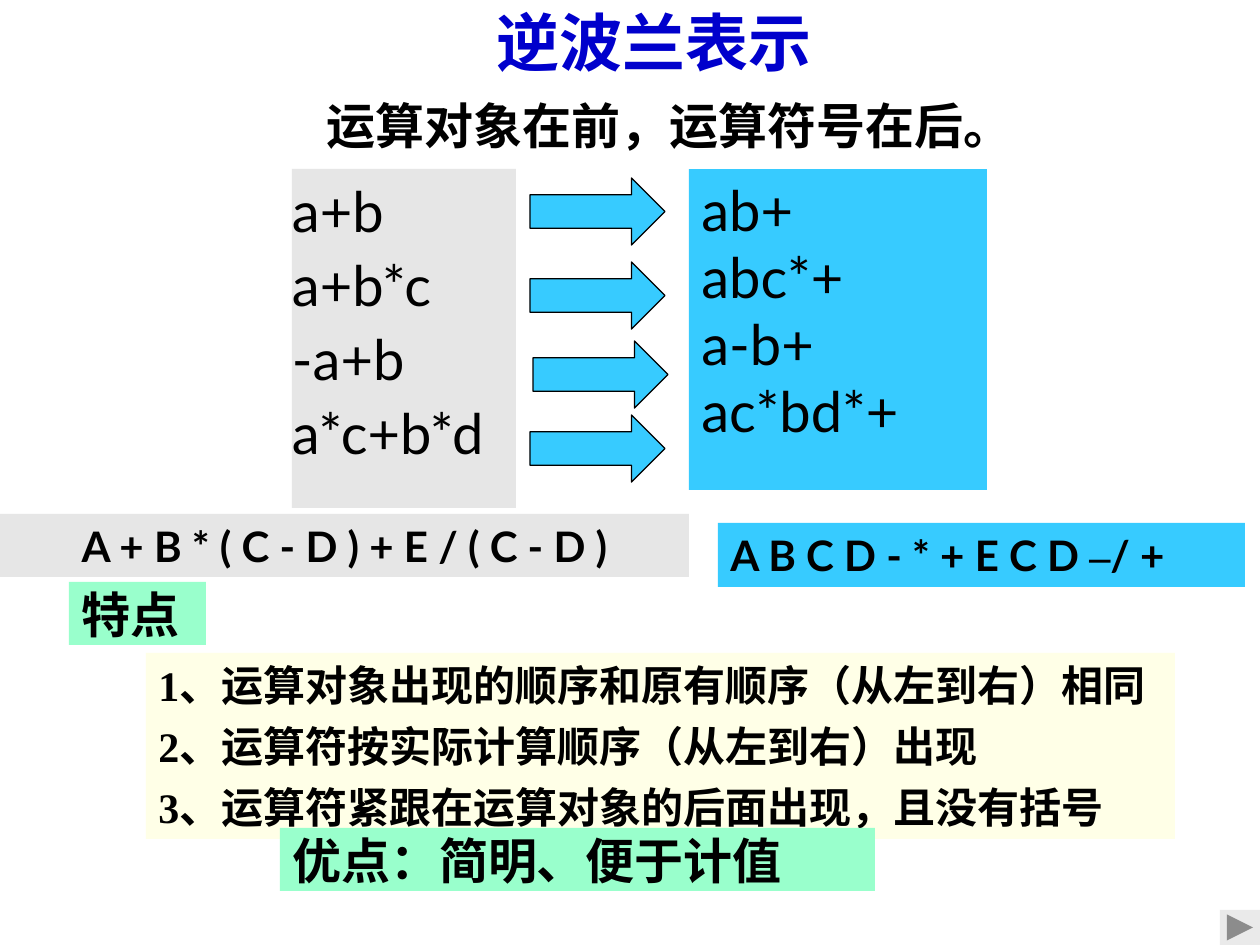
import pptx
import pptx.util
import pptx.dml.color
import pptx.enum.shapes
import pptx.enum.text
from dataclasses import dataclass

SHAPE = pptx.enum.shapes.MSO_SHAPE
ANCHOR = pptx.enum.text.MSO_ANCHOR
ALIGN = pptx.enum.text.PP_ALIGN


@dataclass(frozen=True)
class Theme:
    title: str = "0000CC"
    ink: str = "000000"
    sky: str = "37CBFF"
    grey: str = "E6E6E6"
    mint: str = "99FFCC"
    cream: str = "FFFFE7"
    button: str = "EAEAEA"
    sans: str = "Lato"
    serif: str = "Times New Roman"
    title_pt: int = 36
    formula_pt: int = 32
    heading_pt: int = 28
    body_pt: int = 24


T = Theme()


def px(n):
    return round(n * 914400 / 126)


def rgb(value):
    return pptx.dml.color.RGBColor.from_string(value)


def add_box(s, box, fill=None, kind=SHAPE.RECTANGLE, line=None):
    sp = s.shapes.add_shape(kind, *map(px, box))
    sp.shadow.inherit = False
    if fill:
        sp.fill.solid()
        sp.fill.fore_color.rgb = rgb(fill)
    else:
        sp.fill.background()
    if line:
        sp.line.color.rgb = rgb(line)
        sp.line.width = pptx.util.Pt(0.75)
    else:
        sp.line.fill.background()
    return sp


def add_text(s, box, lines, size, font=T.sans, fill=None, color=T.ink, bold=True,
             frame=None, para=None):
    """Each line is a string, or a list of (text, font) runs."""
    tf = add_box(s, box, fill).text_frame
    for name, value in {"word_wrap": True, "vertical_anchor": ANCHOR.TOP, **(frame or {})}.items():
        setattr(tf, name, value)
    for i, line in enumerate(lines):
        p = tf.add_paragraph() if i else tf.paragraphs[0]
        for name, value in {"alignment": ALIGN.LEFT, **(para or {})}.items():
            setattr(p, name, value)
        for text, face in [(line, font)] if isinstance(line, str) else line:
            r = p.add_run()
            r.text = text
            values = {"name": face, "size": pptx.util.Pt(size), "bold": bold}
            for name, value in values.items():
                setattr(r.font, name, value)
            r.font.color.rgb = rgb(color)


def add_header(s, box):
    x, y, w, h = box
    centred = {"alignment": ALIGN.CENTER}
    # Title
    add_text(s, (x + 131, y, 651, 73), ["逆波兰表示"], T.title_pt, color=T.title,
             frame={"vertical_anchor": ANCHOR.MIDDLE}, para=centred)
    # Rule under the title
    add_text(s, (x, y + h - 72, w, 72), ["运算对象在前，运算符号在后。"], T.heading_pt,
             para=centred)


def add_conversions(s, box):
    x, y, w, h = box
    # Infix on the left
    insets = {"margin_left": 0, "margin_right": px(5), "margin_top": px(1), "margin_bottom": px(1)}
    add_text(s, (x, y, 224, h), ["a+b", "a+b*c", "-a+b", "a*c+b*d"], T.formula_pt,
             fill=T.grey, bold=False, frame=insets, para={"line_spacing": 1.1})
    # Postfix on the right
    add_text(s, (x + w - 298, y, 298, 321), ["ab+", "abc*+", "a-b+", "ac*bd*+"], T.formula_pt,
             fill=T.sky, bold=False)
    # Arrows between them
    for dx, dy in ((238, 9), (238, 93), (241, 172), (238, 246)):
        sp = add_box(s, (x + dx, y + dy, 135, 67), T.sky, SHAPE.RIGHT_ARROW, T.ink)
        sp.adjustments[0] = 0.5
        sp.adjustments[1] = 0.5


def add_example(s, box):
    x, y, w, h = box
    add_text(s, (x, y, 689, 63), ["A + B * ( C - D ) + E / ( C - D )"], T.body_pt,
             fill=T.grey, para={"alignment": ALIGN.CENTER})
    postfix = [("A B C D - * + E C D ", T.sans), ("–", T.serif), ("/ +", T.sans)]
    add_text(s, (x + w - 527, y + h - 64, 527, 64), [postfix], T.body_pt, fill=T.sky)


def add_features(s, box):
    x, y, w, h = box
    label = {"font": T.serif, "fill": T.mint, "frame": {"vertical_anchor": ANCHOR.MIDDLE}}
    points = [
        "1、运算对象出现的顺序和原有顺序（从左到右）相同",
        "2、运算符按实际计算顺序（从左到右）出现",
        "3、运算符紧跟在运算对象的后面出现，且没有括号",
    ]
    add_text(s, (x, y, 137, 63), ["特点"], T.heading_pt, **label)
    add_text(s, (x + w - 1029, y + 71, 1029, 186), points, T.body_pt, T.serif, T.cream,
             para={"space_before": pptx.util.Pt(6)})
    add_text(s, (x + 211, y + h - 63, 595, 63), ["优点：简明、便于计值"], T.heading_pt, **label)


def main():
    prs = pptx.Presentation()
    prs.slide_width, prs.slide_height = px(1260), px(945)
    s = prs.slides.add_slide(prs.slide_layouts[6])
    add_header(s, (197, 5, 945, 156))
    add_conversions(s, (292, 169, 695, 339))
    add_example(s, (0, 514, 1245, 73))
    add_features(s, (69, 582, 1106, 309))
    # Next-slide button in the corner
    add_box(s, (1220, 910, 40, 35), T.button, SHAPE.ACTION_BUTTON_FORWARD_OR_NEXT)
    prs.save("out.pptx")


if __name__ == "__main__":
    main()
